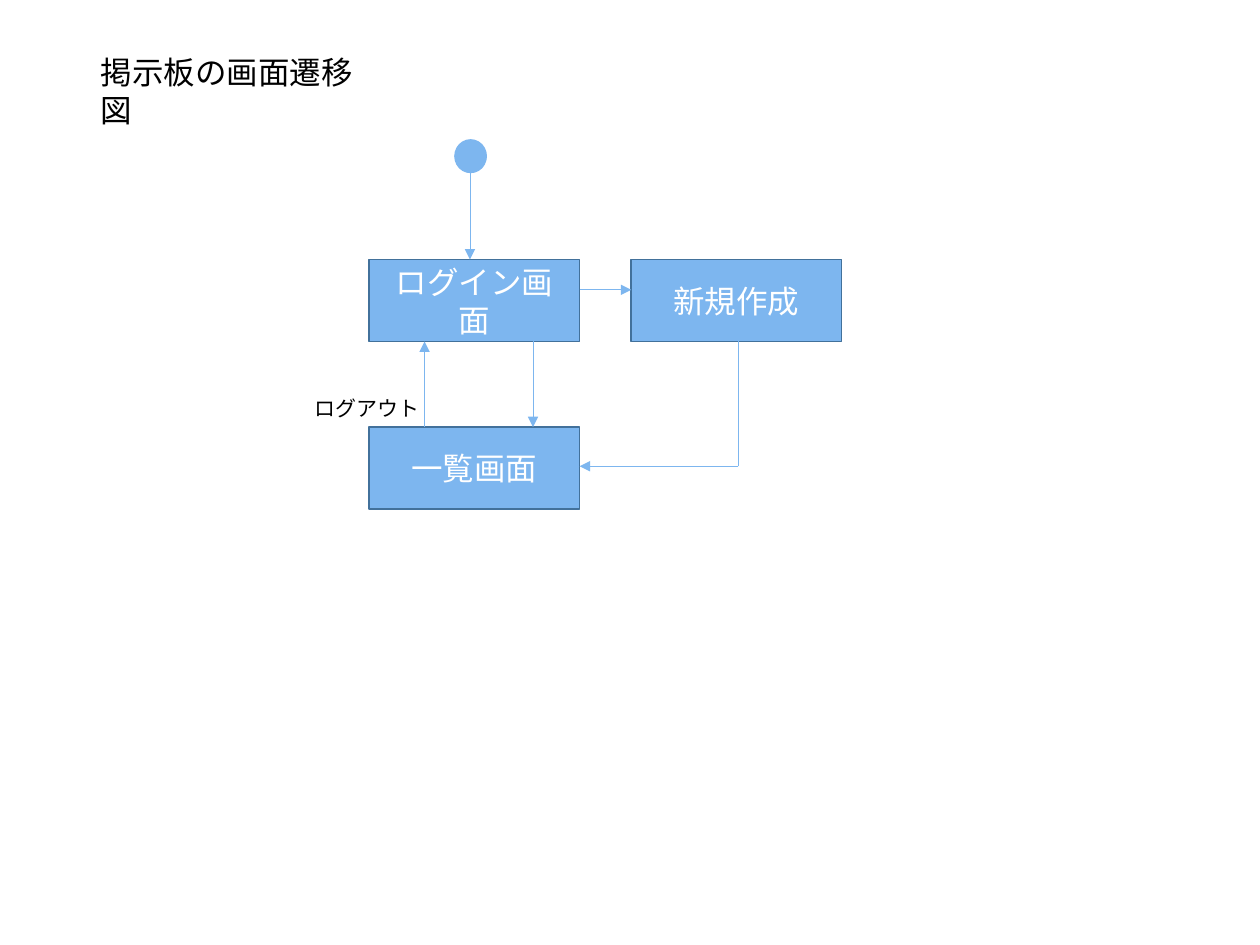
from lxml.etree import SubElement
from pptx import Presentation
from pptx.dml.color import RGBColor
from pptx.enum.shapes import MSO_CONNECTOR, MSO_SHAPE
from pptx.enum.text import MSO_ANCHOR, MSO_AUTO_SIZE, PP_ALIGN
from pptx.oxml.ns import qn
from pptx.util import Inches, Pt

COLORS = {"sky": "7DB6EF", "border": "42719B", "white": "FFFFFF", "black": "000000"}
JAPANESE_FONT = "Noto Sans CJK JP"
TITLE = "掲示板の画面遷移図"
LOGOUT = "ログアウト"

LEFT, RIGHT = 2.93, 5.01
TOP, BOTTOM = 2.06, 3.39
WIDTH, HEIGHT = 1.67, 0.65
START = (3.61, 1.11, 0.25, 0.26)
START_X, LOGIN_X, LOGOUT_X, CREATED_X = 3.73, 4.23, 3.37, 5.86
CREATE_Y, CREATED_Y = 2.3, 3.7

SCREENS = [
    ("ログイン画面", LEFT, TOP, JAPANESE_FONT),
    ("一覧画面", LEFT, BOTTOM, JAPANESE_FONT),
    ("新規作成", RIGHT, TOP, "Calibri"),
]
TRANSITIONS = [
    ((START_X, START[1] + START[3]), (START_X, TOP), 0.5, True),
    ((LOGIN_X, TOP + HEIGHT), (LOGIN_X, BOTTOM), 0.5, True),
    ((LOGOUT_X, BOTTOM), (LOGOUT_X, TOP + HEIGHT), 0.5, True),
    ((LEFT + WIDTH, CREATE_Y), (RIGHT, CREATE_Y), 0.5, True),
    ((CREATED_X, CREATED_Y), (CREATED_X, TOP + HEIGHT), 0.75, False),
    ((CREATED_X, CREATED_Y), (LEFT + WIDTH, CREATED_Y), 0.5, True),
]


def rgb(name):
    return RGBColor.from_string(COLORS[name])


def write(frame, text, size, font, color, align, anchor):
    frame.vertical_anchor = anchor
    frame.margin_left = frame.margin_right = Inches(0.1)
    frame.margin_top = frame.margin_bottom = Inches(0.05)
    paragraph = frame.paragraphs[0]
    paragraph.alignment = align
    run = paragraph.add_run()
    run.text = text
    run.font.size = Pt(size)
    run.font.name = font
    run.font.color.rgb = rgb(color)
    SubElement(run._r.get_or_add_rPr(), qn("a:ea"), typeface=JAPANESE_FONT)


def write_label(frame, text, size):
    write(frame, text, size, "Arial", "black", PP_ALIGN.LEFT, MSO_ANCHOR.TOP)
    frame.word_wrap = False
    frame.auto_size = MSO_AUTO_SIZE.SHAPE_TO_FIT_TEXT


def add_node(slide, preset, box, border, weight):
    node = slide.shapes.add_shape(preset, *map(Inches, box))
    node.shadow.inherit = False
    node.fill.solid()
    node.fill.fore_color.rgb = rgb("sky")
    node.line.color.rgb = rgb(border)
    node.line.width = Pt(weight)
    return node


def add_transition(slide, begin, end, weight, arrow):
    transition = slide.shapes.add_connector(
        MSO_CONNECTOR.STRAIGHT, *map(Inches, begin + end))
    transition.line.color.rgb = rgb("sky")
    transition.line.width = Pt(weight)
    if arrow:
        SubElement(transition.line._get_or_add_ln(), qn("a:tailEnd"), type="triangle")
    SubElement(transition._element.spPr, qn("a:effectLst"))


def main():
    """Build the screen transition diagram of a bulletin board."""
    deck = Presentation()
    deck.slide_width, deck.slide_height = Inches(10), Inches(7.5)
    slide = deck.slides.add_slide(deck.slide_layouts[5])

    title = slide.shapes.title
    title.left, title.top = Inches(0.7), Inches(0.37)
    title.width, title.height = Inches(2.45), Inches(0.4)
    write_label(title.text_frame, TITLE, 18)

    for name, left, top, font in SCREENS:
        screen = add_node(slide, MSO_SHAPE.RECTANGLE,
                          (left, top, WIDTH, HEIGHT), "border", 1)
        write(screen.text_frame, name, 18, font, "white",
              PP_ALIGN.CENTER, MSO_ANCHOR.MIDDLE)
    add_node(slide, MSO_SHAPE.OVAL, START, "sky", 0.75)
    for transition in TRANSITIONS:
        add_transition(slide, *transition)

    logout = slide.shapes.add_textbox(*map(Inches, (2.4, 3.09, 1.03, 0.3)))
    write_label(logout.text_frame, LOGOUT, 12)
    deck.save("out.pptx")


if __name__ == "__main__":
    main()
